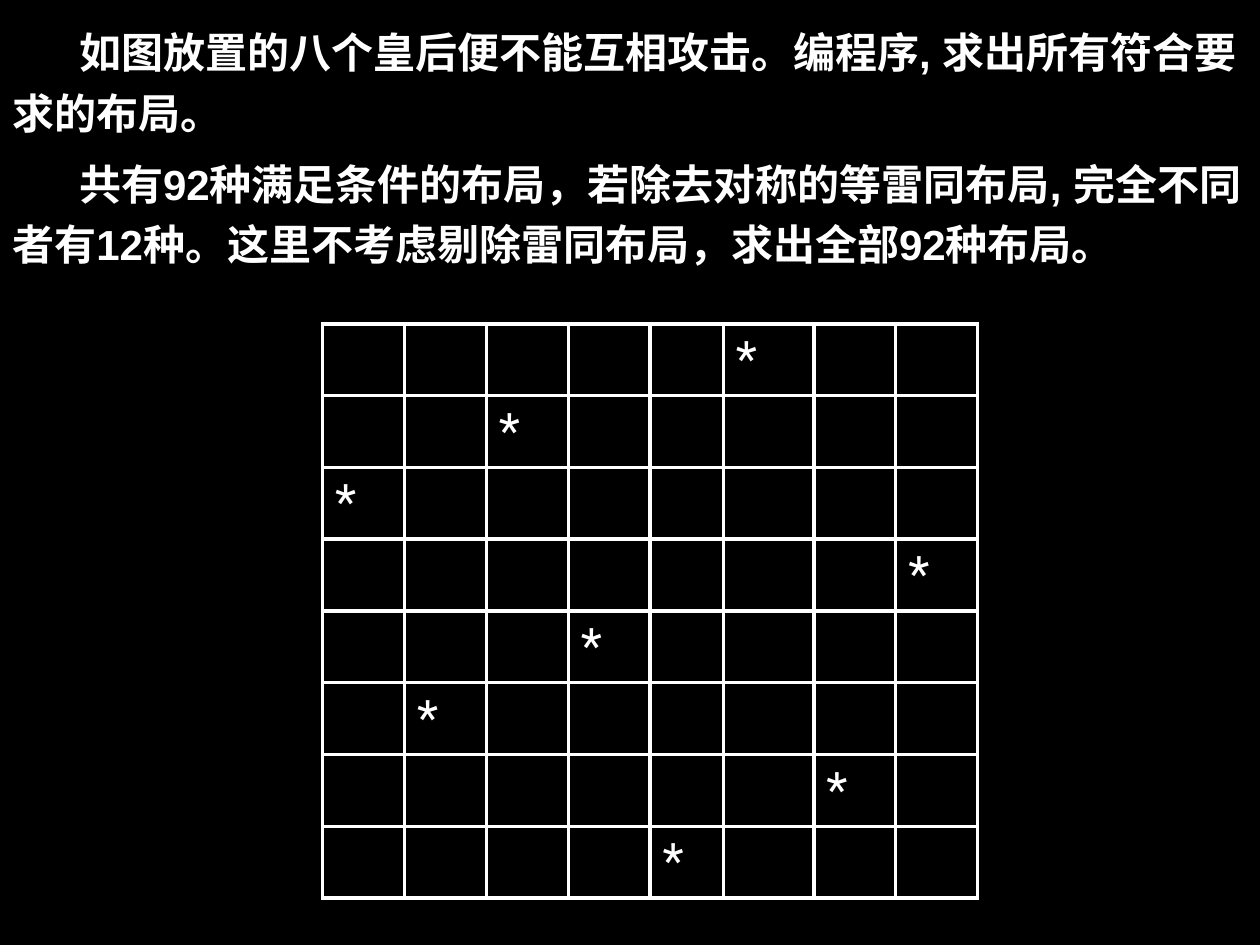
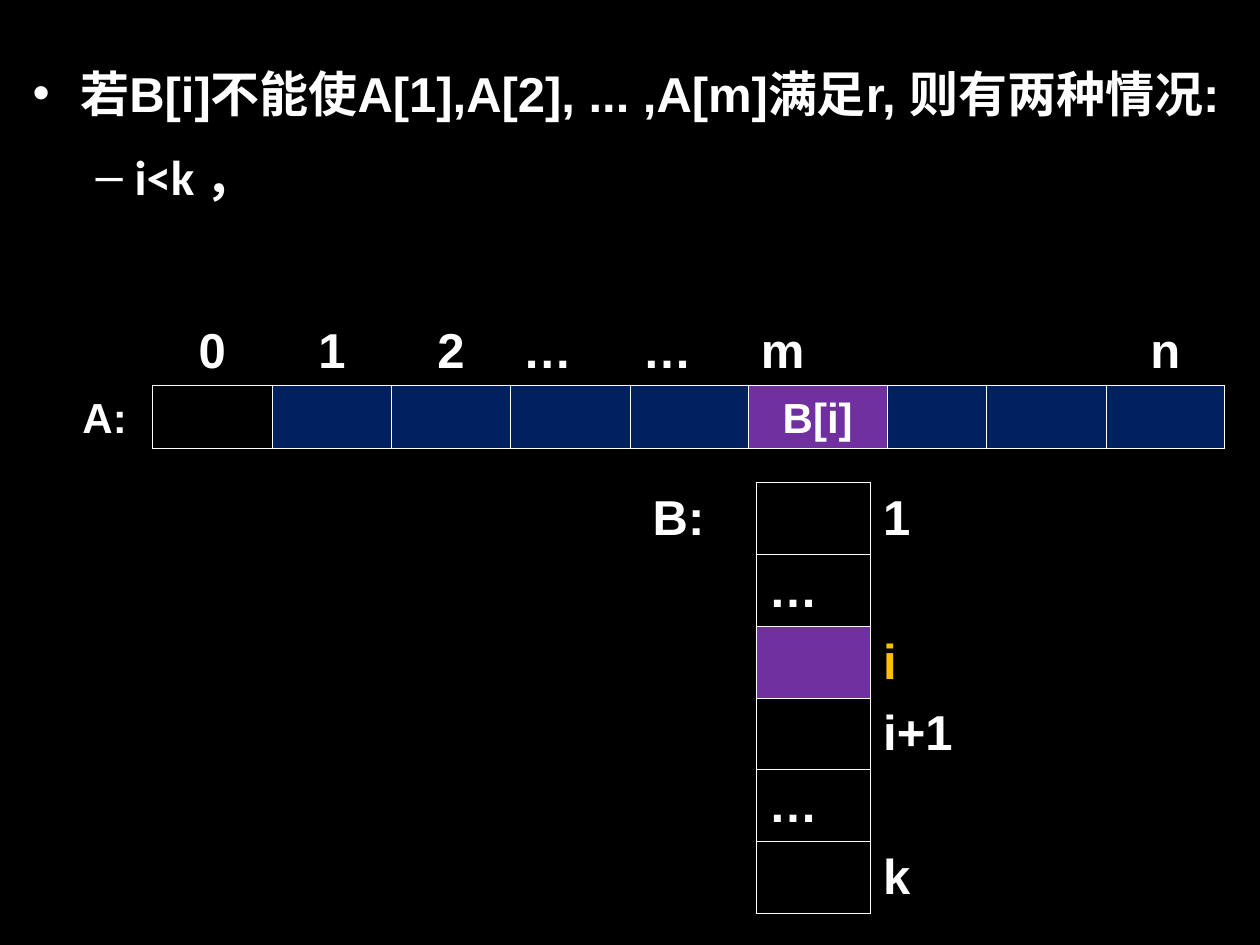
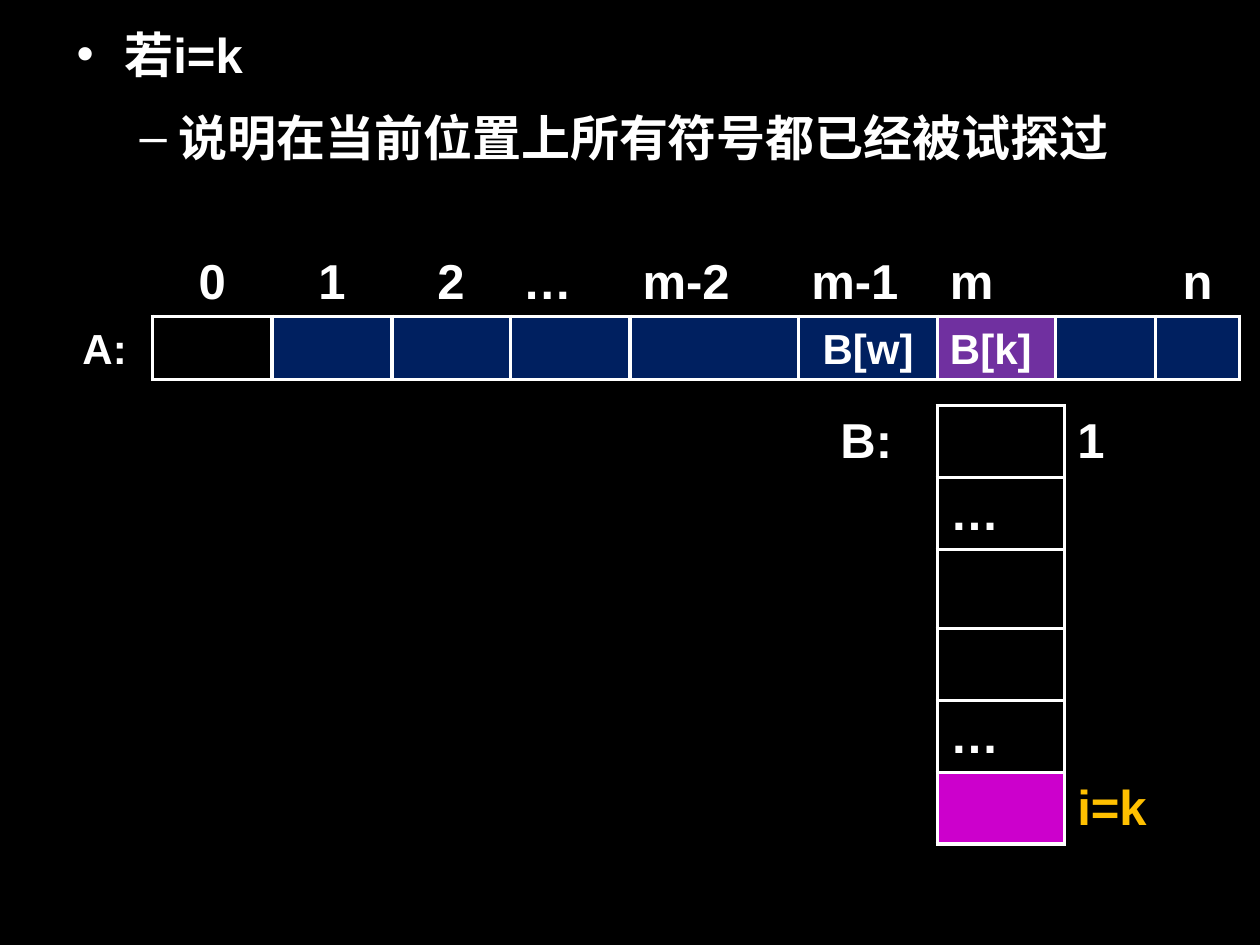
import pptx
import pptx.dml.color
import pptx.enum.text
import pptx.oxml.ns
import pptx.util
from lxml import etree

BLACK, WHITE, NAVY = "000000", "FFFFFF", "002060"
PURPLE, MAGENTA, AMBER = "7030A0", "CC00CC", "FFC000"
THIN, THICK = 0.45, 2.21
ALIGN = pptx.enum.text.PP_ALIGN
ANCHOR = pptx.enum.text.MSO_ANCHOR

# Content: the eight queens problem
PROBLEM = [
    [("如图放置的八个皇后便不能互相攻击。编程序, 求出所有符合要求的布局。", "Arial")],
    [("共有92种满足条件的布局，若除去对称的等", "Arial"), ("雷", "Roboto"),
     ("同布局, 完全不同者有12种。这里不考虑剔除雷同布局，求出全部92种布局。", "Arial")],
]
QUEEN_COLUMNS = [5, 2, 0, 7, 3, 1, 6, 4]
BOARD = dict(
    at=(2.56, 2.57), columns=[0.65] * 4 + [0.58, 0.72] + [0.65] * 2, rows=[0.57] * 8,
    cells=[["*" if column == queen else "" for column in range(8)] for queen in QUEEN_COLUMNS],
    framed=lambda row, column: True, fills={}, line=THICK, font="Roboto", bold=False)

# Content: the two cases of backtracking, with array A and candidate list B
CASES = [
    dict(
        box=(0.16, 0.36, 9.65, 2.6), line=THIN,
        lines=["若B[i]不能使A[1],A[2], ... ,A[m]满足r, 则有两种情况:", "i<k ，"],
        array=dict(
            at=(0.27, 2.49),
            columns=[0.94, 0.95, 0.95, 0.94, 0.95, 0.94, 1.1, 0.79, 0.95, 0.94],
            cells=[["", "0", "1", "2", "…", "…", "m", "", "", "n"],
                   ["A:", "", "", "", "", "", "B[i]", "", "", ""]],
            current=6),
        candidates=dict(
            at=(5.08, 3.83), columns=[0.92, 0.91, 0.77], rows=[0.57] * 6,
            cells=[["B:", "", "1"], ["", "…", ""], ["", "", "i"],
                   ["", "", "i+1"], ["", "…", ""], ["", "", "k"]],
            fills={(2, 1): PURPLE})),
    dict(
        box=(0.51, 0.05, 9.29, 3.78), line=THICK,
        lines=["若i=k", "说明在当前位置上所有符号都已经被试探过"],
        array=dict(
            at=(0.27, 1.94),
            columns=[0.94, 0.95, 0.95, 0.94, 0.95, 1.34, 1.1, 0.94, 0.79, 0.67],
            cells=[["", "0", "1", "2", "…", "m-2", "m-1", "m", "", "n"],
                   ["A:", "", "", "", "", "", "B[w]", "B[k]", "", ""]],
            current=7),
        candidates=dict(
            at=(6.57, 3.22), columns=[0.87, 1.01, 1.35], rows=[0.57, 0.57, 0.63] + [0.57] * 3,
            cells=[["B:", "", "1"], ["", "…", ""], ["", "", ""],
                   ["", "", ""], ["", "…", ""], ["", "", "i=k"]],
            fills={(5, 1): MAGENTA})),
]
CENTRED_IN_ARRAY = {"0", "1", "2", "n", "A:", "B[i]", "B[w]"}
CURRENT_CANDIDATES = {"i", "i=k"}
BULLETS = [("•", 0.38, -0.38, "Arial"), ("–", 0.81, -0.31, "Calibri")]


# Shared helpers
def rgb(colour):
    return pptx.dml.color.RGBColor.from_string(colour)


def inches(*lengths):
    return [pptx.util.Inches(length) for length in lengths]


def add_element(parent, tag, **attributes):
    return etree.SubElement(parent, pptx.oxml.ns.qn(tag), attributes)


def style(span, font, size, colour=WHITE, bold=True):
    span.font.name, span.font.size, span.font.bold = font, pptx.util.Pt(size), bold
    span.font.color.rgb = rgb(colour)


def indent(para, left, first):
    properties = para._p.get_or_add_pPr()
    properties.set("marL", str(pptx.util.Inches(left)))
    properties.set("indent", str(pptx.util.Inches(first)))
    return properties


def add_page(deck):
    page = deck.slides.add_slide(deck.slide_layouts[6])
    page.background.fill.solid()
    page.background.fill.fore_color.rgb = rgb(BLACK)
    return page


def add_box(page, place):
    frame = page.shapes.add_textbox(*inches(*place)).text_frame
    frame.word_wrap = True
    return frame


def add_paragraph(frame, number, gap):
    para = frame.add_paragraph() if number else frame.paragraphs[0]
    para.line_spacing = 1.2
    if number:
        para.space_before = pptx.util.Pt(gap)
    return para


# Tables: a border is drawn wherever a cell or its neighbour is framed
def set_borders(cell, row, column, is_framed, width):
    properties = cell._tc.get_or_add_tcPr()
    neighbours = [("L", 0, -1), ("R", 0, 1), ("T", -1, 0), ("B", 1, 0)]
    for side, down, right in neighbours:
        line = add_element(properties, "a:ln" + side, w=str(pptx.util.Pt(width)))
        if is_framed(row, column) or is_framed(row + down, column + right):
            add_element(add_element(line, "a:solidFill"), "a:srgbClr", val=WHITE)
        else:
            add_element(line, "a:noFill")


def add_grid(page, at, columns, rows, cells, framed, fills, line, font="Arial", bold=True,
             anchor=ANCHOR.MIDDLE, centred=(), sizes=None):
    frame = page.shapes.add_table(len(rows), len(columns),
                                  *inches(*at, sum(columns), sum(rows)))
    table = frame.table
    table.first_row = table.horz_banding = False
    for column, width in enumerate(columns):
        table.columns[column].width = pptx.util.Inches(width)

    def is_framed(row, column):
        return 0 <= row < len(rows) and 0 <= column < len(columns) and framed(row, column)

    for row, height in enumerate(rows):
        table.rows[row].height = pptx.util.Inches(height)
        for column, text in enumerate(cells[row]):
            cell = table.cell(row, column)
            set_borders(cell, row, column, is_framed, line)
            if (row, column) in fills:
                cell.fill.solid()
                cell.fill.fore_color.rgb = rgb(fills[row, column])
            else:
                cell.fill.background()
            cell.vertical_anchor = anchor
            if not text:
                continue
            cell.text_frame.text = text
            para = cell.text_frame.paragraphs[0]
            para.alignment = ALIGN.CENTER if text in centred else ALIGN.LEFT
            colour = AMBER if text in CURRENT_CANDIDATES else WHITE
            style(para.runs[0], font, sizes[row] if sizes else 28, colour, bold)
    return table


# Slides
def build_problem(deck):
    page = add_page(deck)
    add_grid(page, **BOARD)
    frame = add_box(page, (0, 0.08, 10, 2.11))
    frame.vertical_anchor = ANCHOR.MIDDLE
    for number, parts in enumerate(PROBLEM):
        para = add_paragraph(frame, number, 3)
        para.space_after = pptx.util.Pt(3)
        indent(para, 0, 0.53)
        for text, font in parts:
            span = para.add_run()
            span.text = text
            style(span, font, 24)


def build_case(deck, case):
    page = add_page(deck)
    frame = add_box(page, case["box"])
    for level, (text, bullet) in enumerate(zip(case["lines"], BULLETS)):
        symbol, left, first, font = bullet
        para = add_paragraph(frame, level, 7)
        para.text = text
        para.level = level
        properties = indent(para, left, first)
        add_element(add_element(properties, "a:buClr"), "a:srgbClr", val=WHITE)
        add_element(properties, "a:buFont", typeface="Arial")
        add_element(properties, "a:buChar", char=symbol)
        style(para.runs[0], font, 28)

    array = case["array"]
    fills = {(1, column): NAVY for column in range(2, len(array["columns"]))}
    fills[1, array["current"]] = PURPLE
    table = add_grid(page, array["at"], array["columns"], [0.57, 0.5], array["cells"],
                     lambda row, column: row == 1 and column > 0, fills, case["line"],
                     anchor=ANCHOR.BOTTOM, centred=CENTRED_IN_ARRAY, sizes=[28, 24])
    table.cell(1, 0).margin_left = pptx.util.Inches(0.28)

    add_grid(page, framed=lambda row, column: column == 1, line=case["line"],
             **case["candidates"])


def main():
    deck = pptx.Presentation()
    deck.slide_width, deck.slide_height = inches(10, 7.5)
    build_problem(deck)
    for case in CASES:
        build_case(deck, case)
    deck.save("out.pptx")


if __name__ == "__main__":
    main()
